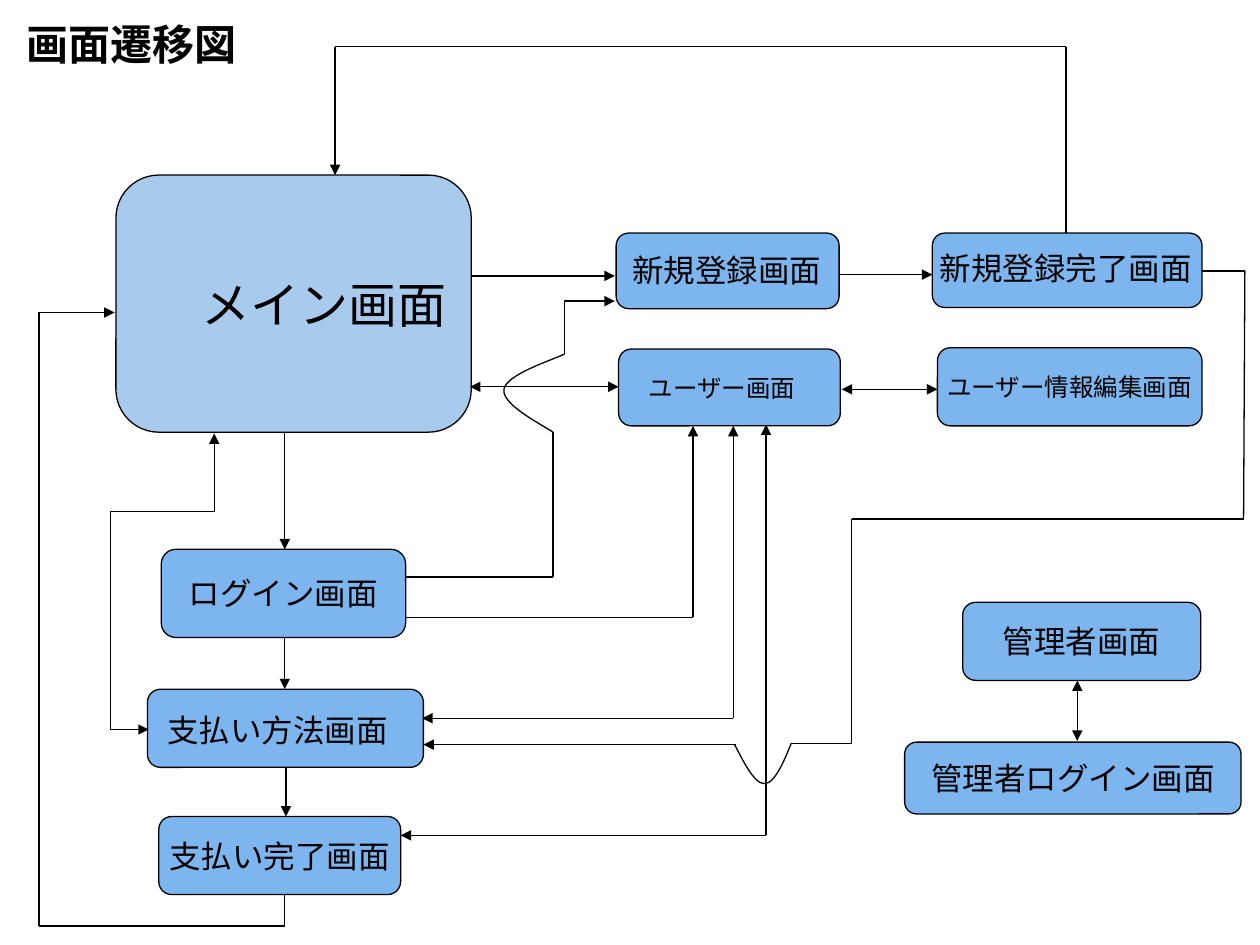
"""Draw a screen transition diagram on a grid of 100 columns by 75 rows."""
from dataclasses import dataclass
from itertools import pairwise
from typing import Optional

import pptx
import pptx.dml.color
import pptx.enum.shapes
import pptx.enum.text
import pptx.oxml
import pptx.oxml.ns
import pptx.util
from lxml import etree

RGBColor = pptx.dml.color.RGBColor
BLACK = RGBColor(0x00, 0x00, 0x00)
BLUE = RGBColor(0x7D, 0xB6, 0xEF)
DEEP_BLUE = RGBColor(0x00, 0x66, 0xCC)
WIDTH, HEIGHT = pptx.util.Inches(10), pptx.util.Inches(7.5)
COLUMN, ROW = WIDTH / 100, HEIGHT / 75
Point = tuple[float, float]


@dataclass(frozen=True)
class Screen:
    """A screen box, with its label inside when it is centred."""
    left: float
    top: float
    width: float
    height: float
    text: str = ""
    size: float = 18
    fill: RGBColor = BLUE
    alpha: Optional[int] = None


@dataclass(frozen=True)
class Label:
    """A text that stands freely on the slide."""
    left: float
    top: float
    width: float
    height: float
    text: str
    size: float = 18
    bold: bool = False


@dataclass(frozen=True)
class Route:
    """Straight segments through points, with optional arrowheads."""
    points: tuple[Point, ...]
    head: bool = False
    tail: bool = True


SCREENS = (
    Screen(9.2, 13.9, 28.2, 20.4, fill=DEEP_BLUE, alpha=34),
    Screen(49.1, 27.7, 17.6, 6.1),
    Screen(11.7, 54.7, 21.9, 6.2),
    Screen(12.6, 64.8, 19.2, 6.2, "支払い完了画面"),
    Screen(74, 18.5, 21.4, 5.9),
    Screen(48.9, 18.5, 17.7, 6),
    Screen(74.4, 27.6, 21, 6.2, "ユーザー情報編集画面", 14),
    Screen(12.8, 43.6, 19.4, 7, "ログイン画面"),
    Screen(76.4, 47.8, 18.9, 6.2, "管理者画面"),
    Screen(71.8, 58.9, 26.7, 5.7, "管理者ログイン画面"),
)
LABELS = (
    Label(1.1, 1, 26.7, 5, "画面遷移図", 24, True),
    Label(15, 21.3, 24.1, 6, "メイン画面", 28),
    Label(12.3, 55.9, 21.3, 4, "支払い方法画面"),
    Label(50.5, 29.1, 21.1, 4, "ユーザー画面", 14),
    Label(49.2, 19.4, 26.6, 4, "新規登録画面"),
    Label(73.6, 19.3, 25.8, 4, "新規登録完了画面"),
)
ROUTES = (
    Route(((37.4, 21.9), (48.8, 21.9))),
    Route(((66.6, 21.8), (74, 21.8))),
    Route(((37.3, 30.7), (49.1, 30.7)), head=True),
    Route(((66.8, 30.9), (74.4, 30.9)), head=True),
    Route(((85.5, 54), (85.5, 58.8)), head=True),
    Route(((22.6, 34.4), (22.6, 43.6))),
    Route(((22.6, 50.6), (22.6, 54.7))),
    Route(((22.7, 60.9), (22.7, 64.8))),
    Route(((84.6, 18.5), (84.6, 3.7), (26.6, 3.7), (26.6, 13.9))),
    Route(((32.2, 49), (55, 49), (55, 33.8))),
    Route(((33.5, 57), (58.2, 57), (58.2, 33.8)), head=True),
    Route(((31.8, 66.3), (60.8, 66.3), (60.8, 33.7)), head=True),
    Route(((17, 34.4), (17, 40.6), (8.75, 40.6), (8.75, 57.9), (11.8, 57.9)), head=True),
    Route(((22.6, 71), (22.6, 73.5), (3.1, 73.5), (3.1, 24.8), (9.1, 24.8))),
    Route(((32.2, 45.8), (43.9, 45.8), (43.9, 34.3)), tail=False),
    Route(((44.8, 28.1), (44.8, 23.9), (48.8, 23.9))),
    Route(((95.4, 21.5), (98.8, 21.5), (98.7, 41.2), (67.6, 41.2), (67.6, 59), (62.8, 59)),
          tail=False),
    Route(((58.4, 59.1), (33.6, 59.1))),
)
BRIDGES = (
    ((43.9, 34.3), (43, 33.7), (39.8, 32.1), (40, 30.9),
     (40.2, 29.7), (43.8, 28.6), (44.8, 28.1)),
    ((62.8, 59), (62.5, 59.7), (61.6, 62.2), (60.7, 62.2),
     (59.8, 62.3), (58.7, 59.8), (58.3, 59.1)),
)


def place(*lengths: float) -> tuple[int, ...]:
    """Turn alternating columns and rows into slide lengths."""
    return tuple(round(n * (ROW if i % 2 else COLUMN)) for i, n in enumerate(lengths))


def write(tf, text: str, *, size: float = 18, bold: bool = False, wrap: bool = True,
          align=pptx.enum.text.PP_ALIGN.LEFT, anchor=pptx.enum.text.MSO_ANCHOR.TOP) -> None:
    """Write one formatted paragraph into a text frame."""
    tf.word_wrap, tf.vertical_anchor = wrap, anchor
    p = tf.paragraphs[0]
    p.alignment = align
    r = p.add_run()
    r.text = text
    r.font.name, r.font.size, r.font.bold = "Arial", pptx.util.Pt(size), bold
    r.font.color.rgb = BLACK


def outline(s) -> None:
    """Give a shape or connector the thin black line."""
    s.line.color.rgb = BLACK
    s.line.width = pptx.util.Pt(0.75)


def draw_screen(shapes, screen: Screen) -> None:
    """Draw a screen box and its centred label."""
    s = shapes.add_shape(pptx.enum.shapes.MSO_SHAPE.FLOWCHART_ALTERNATE_PROCESS,
                         *place(screen.left, screen.top, screen.width, screen.height))
    s.shadow.inherit = False
    s.fill.solid()
    s.fill.fore_color.rgb = screen.fill
    outline(s)
    if screen.alpha is not None:
        color = s._element.spPr.find(".//" + pptx.oxml.ns.qn("a:srgbClr"))
        etree.SubElement(color, pptx.oxml.ns.qn("a:alpha"), val=str(screen.alpha * 1000))
    if screen.text:
        write(s.text_frame, screen.text, size=screen.size, wrap=False,
              align=pptx.enum.text.PP_ALIGN.CENTER, anchor=pptx.enum.text.MSO_ANCHOR.MIDDLE)


def draw_label(shapes, label: Label) -> None:
    """Draw a free label."""
    s = shapes.add_textbox(*place(label.left, label.top, label.width, label.height))
    write(s.text_frame, label.text, size=label.size, bold=label.bold)


def draw_route(shapes, route: Route) -> None:
    """Draw a route as connectors, with arrowheads on its outer ends."""
    segments = list(pairwise(route.points))
    for i, (start, end) in enumerate(segments):
        s = shapes.add_connector(pptx.enum.shapes.MSO_CONNECTOR.STRAIGHT, *place(*start, *end))
        outline(s)
        ends = {"a:headEnd": route.head and i == 0,
                "a:tailEnd": route.tail and i == len(segments) - 1}
        for tag, shown in ends.items():
            if shown:
                etree.SubElement(s.line._get_or_add_ln(), pptx.oxml.ns.qn(tag), type="triangle")
        etree.SubElement(s._element.spPr, pptx.oxml.ns.qn("a:effectLst"))


def draw_bridge(shapes, points: tuple[Point, ...]) -> None:
    """Draw a chain of cubic curves, three points to a curve after the start."""
    start, *rest = [place(*point) for point in points]
    builder = shapes.build_freeform(*start)
    builder.add_line_segments(rest, close=False)
    s = builder.convert_to_shape()
    s.shadow.inherit = False
    s.fill.background()
    outline(s)
    lines = list(s._element.iter(pptx.oxml.ns.qn("a:lnTo")))
    for i in range(0, len(lines), 3):
        curve = etree.SubElement(lines[i].getparent(), pptx.oxml.ns.qn("a:cubicBezTo"))
        for line in lines[i:i + 3]:
            curve.append(line[0])
            line.getparent().remove(line)


def main() -> None:
    """Build and save the slide."""
    prs = pptx.Presentation()
    prs.slide_width, prs.slide_height = WIDTH, HEIGHT
    shapes = prs.slides.add_slide(prs.slide_layouts[6]).shapes
    for draw, items in ((draw_screen, SCREENS), (draw_label, LABELS),
                        (draw_route, ROUTES), (draw_bridge, BRIDGES)):
        for item in items:
            draw(shapes, item)
    prs.save("out.pptx")


if __name__ == "__main__":
    main()
